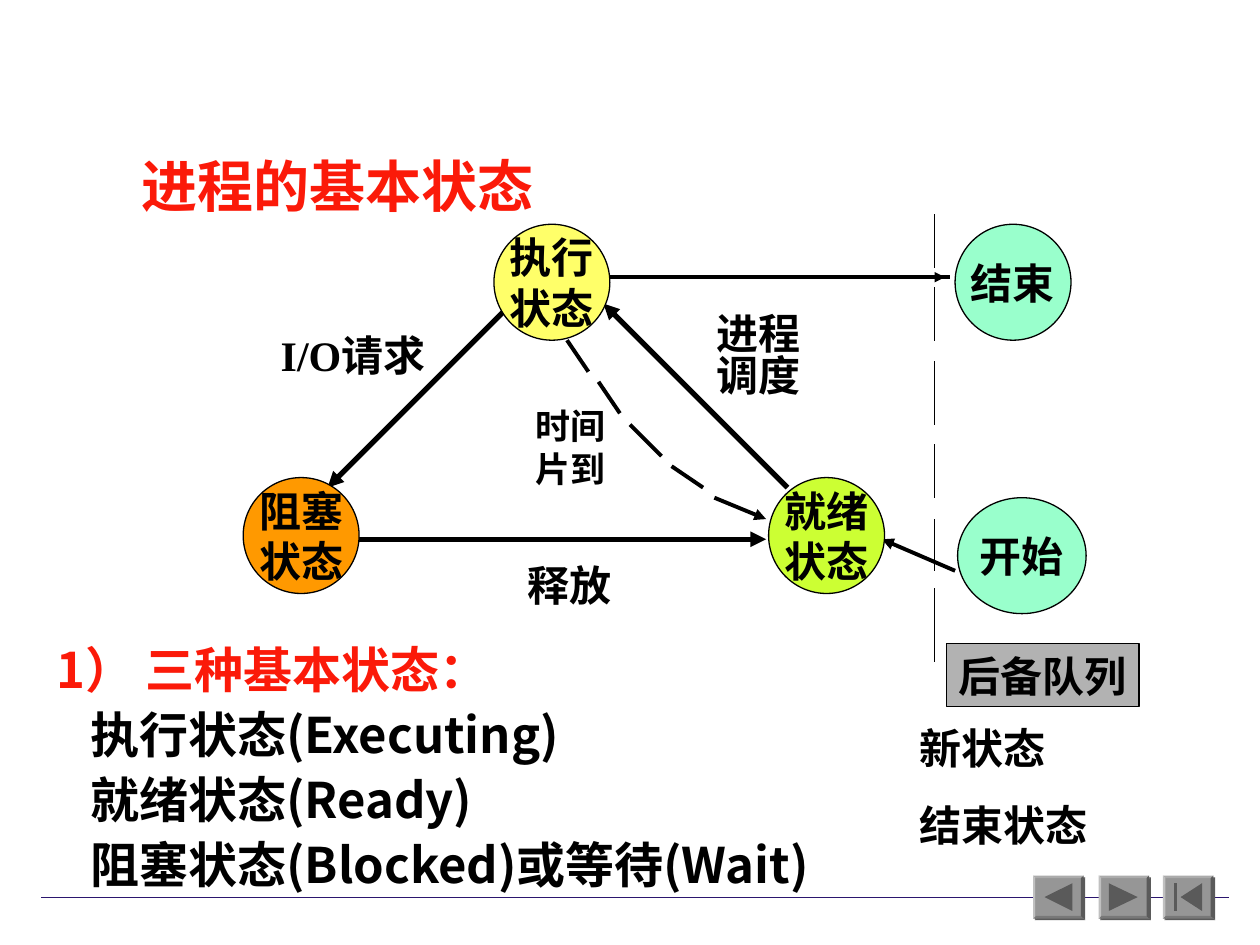
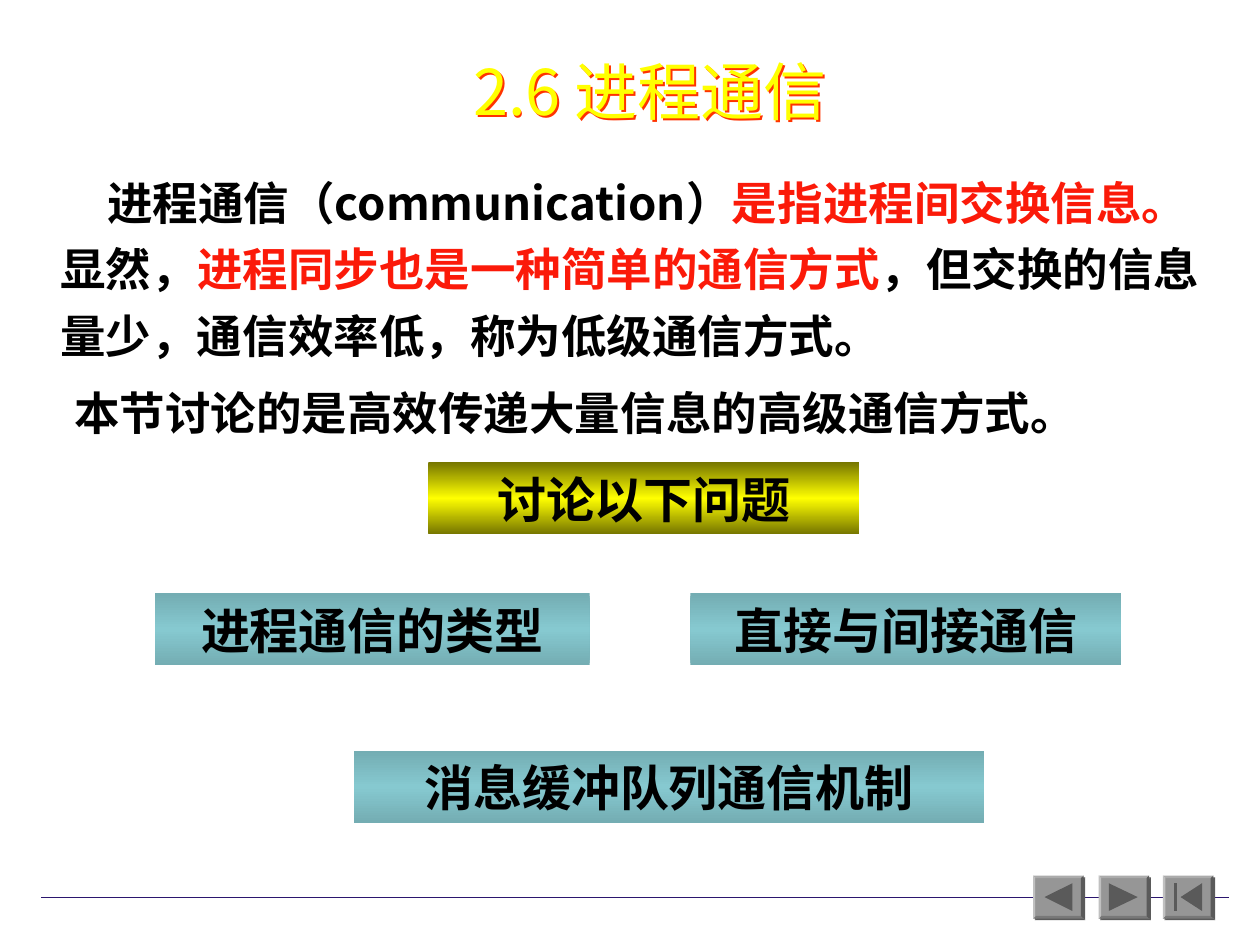
from copy import deepcopy
from dataclasses import dataclass

from lxml.etree import SubElement
from pptx import Presentation
from pptx.dml.color import RGBColor
from pptx.enum.shapes import MSO_CONNECTOR as Connector, MSO_SHAPE as Preset
from pptx.enum.text import MSO_ANCHOR as Anchor, MSO_AUTO_SIZE as AutoSize, PP_ALIGN as Align
from pptx.oxml.ns import qn
from pptx.util import Inches, Pt


@dataclass(frozen=True)
class Theme:
    black: str = "000000"
    red: str = "FB1A09"
    yellow: str = "FFFF00"
    title_shadow: str = "FF3300"
    rule: str = "2B166E"
    button: str = "969696"
    button_dark: str = "5A5A5A"
    queue: str = "B2B2B2"
    serif: str = "Times New Roman"
    sans: str = "Noto Sans CJK SC"
    title_sans: str = "Noto Sans CJK JP"
    title: int = 36
    heading: int = 32
    list: int = 28
    body: int = 26
    label: int = 24
    small: int = 20
    line_height: float = 1.21


THEME = Theme()
HAIRLINE = None

# Content: process states
STATE_TITLE = "进程的基本状态"
STATE_LIST = ["1） 三种基本状态：", "执行状态(Executing)", "就绪状态(Ready)",
              "阻塞状态(Blocked)或等待(Wait)"]
STATES = [  # lines, left, top, width, fill
    (["执行", "状态"], 3.92, 1.78, 0.92, "FFFF69"),
    (["阻塞", "状态"], 1.93, 3.79, 0.92, "FF9900"),
    (["就绪", "状态"], 6.1, 3.79, 0.92, "CCFF33"),
    (["开始"], 7.6, 3.95, 1.02, "99FFCC"),
    (["结束"], 7.58, 1.78, 0.92, "99FFCC"),
]
STATE_HEIGHT = 0.92
TRANSITIONS = [  # start, end, width, has arrowhead
    ((4.02, 2.45), (2.6, 3.87), 3, True),
    ((6.25, 3.87), (4.79, 2.41), 3, True),
    ((2.83, 4.28), (6.08, 4.28), 3, True),
    ((4.83, 2.2), (7.54, 2.2), 2.25, False),
    ((7.08, 2.2), (7.5, 2.2), HAIRLINE, True),
    ((7.58, 4.53), (7, 4.28), 2.25, True),
]
TIMEOUT_DASHES = [((4.5, 2.7), (4.67, 2.95)), ((4.75, 3.03), (4.92, 3.28)),
                  ((5, 3.37), (5.25, 3.62)), ((5.33, 3.7), (5.58, 3.87)),
                  ((5.67, 3.95), (6.08, 4.12))]
BOUNDARY_X = 7.42
BOUNDARY_DASHES = [(1.7, 2.12), (2.28, 2.7), (2.87, 3.37),
                   (3.53, 3.95), (4.12, 4.53), (4.67, 5.25)]
LABELS = [  # lines, box, size, space between paragraphs
    (["I/O请求"], (2.13, 2.56, 1.43, 0.5), THEME.label, 0),
    (["进程"], (5.59, 2.39, 0.86, 0.5), THEME.label, 0),
    (["调度"], (5.59, 2.72, 0.86, 0.5), THEME.label, 0),
    (["释放"], (4.09, 4.39, 0.86, 0.5), THEME.label, 0),
    (["时间", "片到"], (4.15, 3.16, 0.75, 0.77), THEME.small, 0),
    (["新状态", "结束状态"], (7.2, 5.68, 1.64, 1.11), THEME.label, 15),
]
QUEUE = ("后备队列", (7.51, 5.11, 1.53, 0.5))

# Content: process communication
TALK_TITLE = "2.6 进程通信"
TALK_BODY = [
    [("进程通信（communication）", THEME.black), ("是指进程间交换信息。", THEME.red),
     ("显然，", THEME.black), ("进程同步也是一种简单的通信方式", THEME.red),
     ("，但交换的信息量少，通信效率低，称为低级通信方式。", THEME.black)],
    [("本节讨论的是高效传递大量信息的高级通信方式。", THEME.black)],
]
GOLD = ("767600", "FFFF00", "767600")
TEAL = ("74ADB3", "86C9D0", "74ADB3")
TOPIC_HEIGHT = 0.57
TOPICS = [  # text, left, top, width, gradient
    ("讨论以下问题", 3.4, 3.67, 3.42, GOLD),
    ("进程通信的类型", 1.23, 4.71, 3.45, TEAL),
    ("直接与间接通信", 5.48, 4.71, 3.42, TEAL),
    ("消息缓冲队列通信机制", 2.81, 5.96, 5, TEAL),
]

# Navigation buttons: left edge and icon outlines
BUTTON_TOP, BUTTON_WIDTH, BUTTON_HEIGHT, BUTTON_EDGE = 6.95, 0.4, 0.34, 0.06
BUTTONS = [
    (8.2, [[(8.29, 7.12), (8.51, 7.23), (8.51, 7.01)]]),
    (8.72, [[(8.8, 7.01), (9.03, 7.12), (8.8, 7.23)]]),
    (9.23, [[(9.37, 7.12), (9.54, 7.01), (9.54, 7.23)],
            [(9.32, 7.01), (9.34, 7.01), (9.34, 7.23), (9.32, 7.23)]]),
]


def rgb(color):
    return RGBColor.from_string(color)


def inches(values):
    return [Inches(value) for value in values]


def place(shape, box):
    shape.left, shape.top, shape.width, shape.height = inches(box)


def add_shadow(shape, color):
    effects = SubElement(shape._element.spPr, qn("a:effectLst"))
    shadow = SubElement(effects, qn("a:outerShdw"), dist=str(Pt(1.4)), dir="2700000", algn="ctr")
    SubElement(shadow, qn("a:srgbClr"), val=color)


def add_line(slide, start, end, width=HAIRLINE, color=THEME.black, arrow=False):
    line = slide.shapes.add_connector(Connector.STRAIGHT, *inches(start + end))
    # Without its style a line has no shadow and the thinnest default width
    line._element.remove(line._element.find(qn("p:style")))
    line.line.color.rgb = rgb(color)
    if width:
        line.line.width = Pt(width)
    if arrow:
        SubElement(line.line._get_or_add_ln(), qn("a:tailEnd"), type="triangle")
    SubElement(line._element.spPr, qn("a:effectLst"))


def add_box(slide, preset, box, fill=None, outline=None):
    shape = slide.shapes.add_shape(preset, *inches(box))
    if fill:
        shape.fill.solid()
        shape.fill.fore_color.rgb = rgb(fill)
    if outline:
        shape.line.color.rgb = rgb(outline)
        shape.line.width = Pt(0.75)
    else:
        shape.line.fill.background()
    return shape


def format_run(run, size, color, font, east_asian, bold):
    run.font.size, run.font.bold, run.font.name = Pt(size), bold, font
    run.font.color.rgb = rgb(color)
    SubElement(run._r.get_or_add_rPr(), qn("a:ea"), typeface=east_asian)


def write(shape, paragraphs, size, font=THEME.serif, east_asian=THEME.sans, bold=True,
          align=Align.LEFT, anchor=Anchor.TOP, wrap=True, gap=0, spacing=1, indents=None):
    """Fill a shape with paragraphs, each a list of (text, color) runs."""
    frame = shape.text_frame
    frame.auto_size, frame.word_wrap, frame.vertical_anchor = AutoSize.NONE, wrap, anchor
    frame.margin_left = frame.margin_right = Inches(0.1)
    frame.margin_top = frame.margin_bottom = Inches(0.05)
    for index, runs in enumerate(paragraphs):
        paragraph = frame.add_paragraph() if index else frame.paragraphs[0]
        if indents:
            margin, first_line = inches(indents[index])
            properties = paragraph._p.get_or_add_pPr()
            properties.set("marL", str(margin))
            properties.set("indent", str(first_line))
            properties.set("hangingPunct", "0")
            SubElement(properties, qn("a:buNone"))
        paragraph.alignment = align
        paragraph.line_spacing = Pt(round(size * THEME.line_height * spacing, 1))
        paragraph.space_before = Pt(gap if index else 0)
        for text, color in runs:
            run = paragraph.add_run()
            run.text = text
            format_run(run, size, color, font, east_asian, bold)


def in_black(lines):
    return [[(line, THEME.black)] for line in lines]


def add_navigation(slide):
    add_line(slide, (0.33, 7.12), (9.75, 7.12), color=THEME.rule)
    for left, icons in BUTTONS:
        box = (left, BUTTON_TOP, BUTTON_WIDTH, BUTTON_HEIGHT)
        button = add_box(slide, Preset.BEVEL, box, THEME.button)
        button.adjustments[0] = BUTTON_EDGE
        add_shadow(button, THEME.button_dark)
        for points in icons:
            start, *rest = [inches(point) for point in points]
            builder = slide.shapes.build_freeform(*start)
            builder.add_line_segments(rest, close=True)
            icon = builder.convert_to_shape()
            icon.shadow.inherit = False
            icon.fill.solid()
            icon.fill.fore_color.rgb = rgb(THEME.button_dark)
            icon.line.fill.background()


def new_slide(presentation):
    slide = presentation.slides.add_slide(presentation.slide_layouts[1])
    add_navigation(slide)
    return slide, slide.shapes.title, slide.placeholders[1]


def build_states(presentation):
    slide, title, body = new_slide(presentation)
    place(title, (1.02, 1.11, 5.17, 0.71))
    write(title, [[(STATE_TITLE, THEME.red)]], THEME.heading, THEME.sans, anchor=Anchor.MIDDLE)
    place(body, (0.35, 5.02, 7.02, 2.17))
    heading, *items = STATE_LIST
    write(body, [[(heading, THEME.red)]] + in_black(items), THEME.list, THEME.sans, gap=3.3,
          indents=[(0, 0)] + [(0.27, 0)] * len(items))

    # Transitions and the boundary
    for start, end, width, arrow in TRANSITIONS:
        add_line(slide, start, end, width, arrow=arrow)
    for start, end in TIMEOUT_DASHES:
        add_line(slide, start, end, 2.25, arrow=end == TIMEOUT_DASHES[-1][1])
    for top, bottom in BOUNDARY_DASHES:
        add_line(slide, (BOUNDARY_X, top), (BOUNDARY_X, bottom))

    # States and labels
    for lines, left, top, width, fill in STATES:
        state = add_box(slide, Preset.OVAL, (left, top, width, STATE_HEIGHT), fill, THEME.black)
        state.shadow.inherit = False
        write(state, in_black(lines), THEME.label, align=Align.CENTER,
              anchor=Anchor.MIDDLE, wrap=False)
    for lines, box, size, gap in LABELS:
        label = slide.shapes.add_textbox(*inches(box))
        write(label, in_black(lines), size, wrap=False, gap=gap)
    text, box = QUEUE
    queue = add_box(slide, Preset.RECTANGLE, box, THEME.queue, THEME.black)
    queue.shadow.inherit = False
    write(queue, in_black([text]), THEME.label, wrap=False)


def fill_gradient(shape, colors):
    shape.fill.gradient()
    shape.fill.gradient_angle = 90
    stop_list = shape._element.spPr.find(qn("a:gradFill")).find(qn("a:gsLst"))
    stop_list.append(deepcopy(stop_list[0]))
    for index, (stop, color) in enumerate(zip(shape.fill.gradient_stops, colors)):
        stop.position = index / (len(colors) - 1)
        stop.color.rgb = rgb(color)


def build_communication(presentation):
    slide, title, body = new_slide(presentation)
    place(title, (3.15, 0.36, 4.02, 0.7))
    write(title, [[(TALK_TITLE, THEME.yellow)]], THEME.title, THEME.title_sans,
          THEME.title_sans, bold=False, align=Align.CENTER)
    add_shadow(title, THEME.title_shadow)
    place(body, (0, 1.25, 9.64, 2.17))
    write(body, TALK_BODY, THEME.body, THEME.sans, gap=6.5, spacing=1.2,
          indents=[(0.38, 0.37), (0.38, 0.11)])

    # Topics for discussion
    for text, left, top, width, colors in TOPICS:
        topic = add_box(slide, Preset.RECTANGLE, (left, top, width, TOPIC_HEIGHT))
        fill_gradient(topic, colors)
        topic.shadow.inherit = False
        write(topic, in_black([text]), THEME.list, align=Align.CENTER, anchor=Anchor.MIDDLE)


def main():
    presentation = Presentation()
    presentation.slide_width, presentation.slide_height = Inches(10), Inches(7.5)
    build_states(presentation)
    build_communication(presentation)
    presentation.save("out.pptx")


if __name__ == "__main__":
    main()
